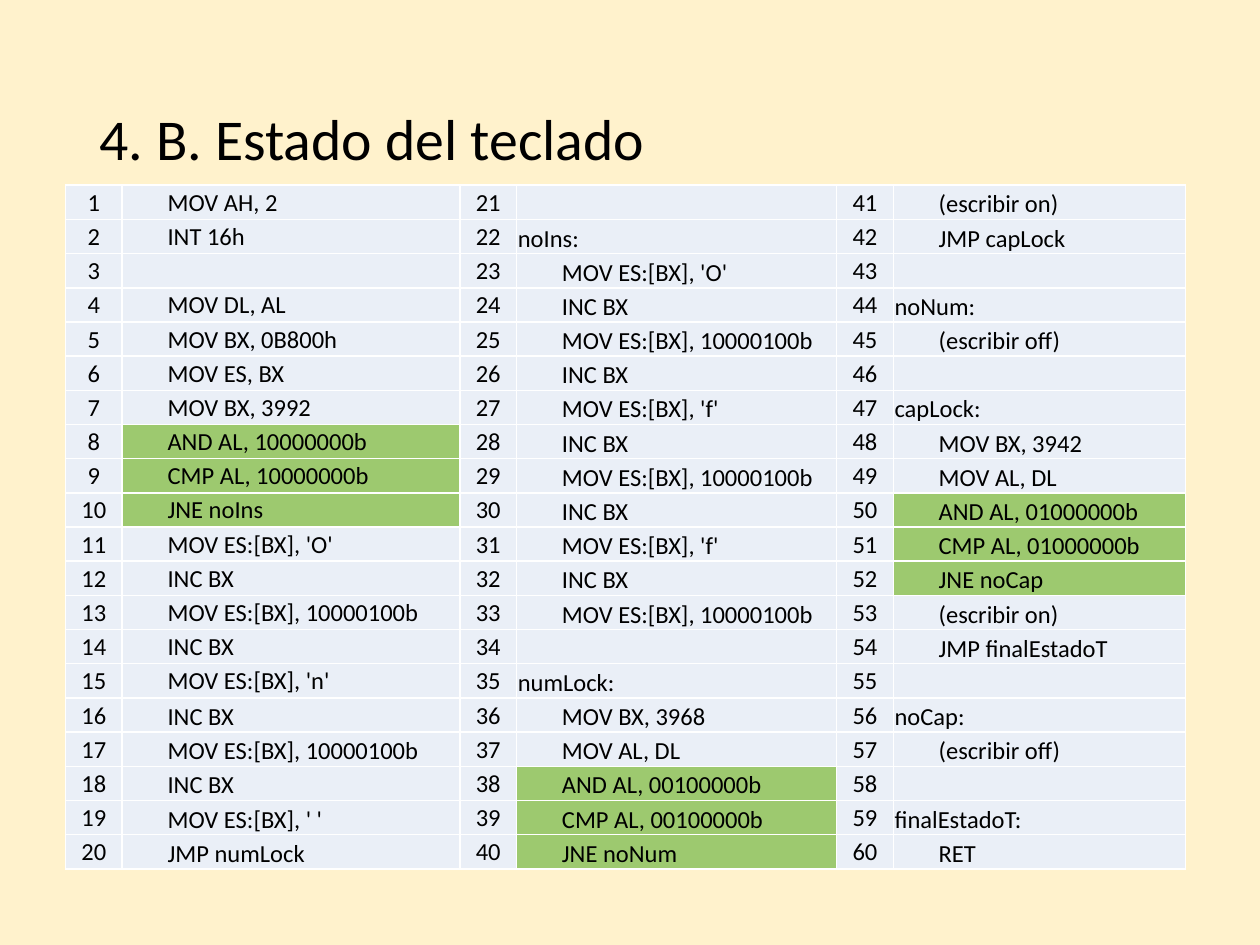
from lxml.etree import SubElement
from pptx import Presentation
from pptx.dml.color import RGBColor
from pptx.enum.text import MSO_ANCHOR, PP_ALIGN
from pptx.oxml.ns import qn
from pptx.util import Inches, Pt

ROWS = 20
INSERT_CODE = """\
    MOV AH, 2
    INT 16h

    MOV DL, AL
    MOV BX, 0B800h
    MOV ES, BX
    MOV BX, 3992
    AND AL, 10000000b
    CMP AL, 10000000b
    JNE noIns
    MOV ES:[BX], 'O'
    INC BX
    MOV ES:[BX], 10000100b
    INC BX
    MOV ES:[BX], 'n'
    INC BX
    MOV ES:[BX], 10000100b
    INC BX
    MOV ES:[BX], ' '
    JMP numLock"""
NUM_CODE = """\

noIns:
    MOV ES:[BX], 'O'
    INC BX
    MOV ES:[BX], 10000100b
    INC BX
    MOV ES:[BX], 'f'
    INC BX
    MOV ES:[BX], 10000100b
    INC BX
    MOV ES:[BX], 'f'
    INC BX
    MOV ES:[BX], 10000100b

numLock:
    MOV BX, 3968
    MOV AL, DL
    AND AL, 00100000b
    CMP AL, 00100000b
    JNE noNum"""
CAPS_CODE = """\
    (escribir on)
    JMP capLock

noNum:
    (escribir off)

capLock:
    MOV BX, 3942
    MOV AL, DL
    AND AL, 01000000b
    CMP AL, 01000000b
    JNE noCap
    (escribir on)
    JMP finalEstadoT

noCap:
    (escribir off)

finalEstadoT:
    RET"""


def set_font(p, size):
    p.font.name = "Calibri"
    p.font.size = Pt(size)
    p.font.color.rgb = RGBColor.from_string("000000")


def fill_cell(cell, text, color, anchor):
    cell.margin_left = cell.margin_right = cell.margin_top = Inches(0.01)
    cell.margin_bottom = 0
    cell.vertical_anchor = anchor
    # White borders come before the fill in the cell properties
    tcPr = cell._tc.get_or_add_tcPr()
    for side in ("a:lnL", "a:lnR", "a:lnT", "a:lnB"):
        ln = SubElement(tcPr, qn(side), w=str(Pt(1)))
        SubElement(SubElement(ln, qn("a:solidFill")), qn("a:srgbClr"), val="FFFFFF")
    cell.fill.solid()
    cell.fill.fore_color.rgb = RGBColor.from_string(color)
    p = cell.text_frame.paragraphs[0]
    set_font(p, 14)
    if text:
        p.add_run().text = text
    else:
        # Keeps an empty cell as low as the others
        SubElement(p._p, qn("a:endParaRPr"), sz="1400")
    return p


prs = Presentation()
prs.slide_width, prs.slide_height = Inches(10), Inches(7.5)
s = prs.slides.add_slide(prs.slide_layouts[6])
s.background.fill.solid()
s.background.fill.fore_color.rgb = RGBColor.from_string("FFF2CC")

# Title
tf = s.shapes.add_textbox(Inches(0.69), Inches(0.4), Inches(8.62), Inches(1.45)).text_frame
tf.word_wrap = True
tf.vertical_anchor = MSO_ANCHOR.MIDDLE
p = tf.paragraphs[0]
p.text = "4. B. Estado del teclado"
p.line_spacing = 0.9
set_font(p, 33)

# Listing table: three pairs of line number and code
table = s.shapes.add_table(ROWS, 6, Inches(0.52), Inches(1.47), Inches(8.89), Inches(5.43)).table
table.first_row = table.horz_banding = False
for col, width in zip(table.columns, (0.45, 2.68, 0.45, 2.54, 0.45, 2.32)):
    col.width = Inches(width)

for pair, code in enumerate((INSERT_CODE, NUM_CODE, CAPS_CODE)):
    for row, line in enumerate(code.split("\n")):
        number = pair * ROWS + row + 1
        p = fill_cell(table.cell(row, 2 * pair), str(number), "EAEFF7", MSO_ANCHOR.MIDDLE)
        p.alignment = PP_ALIGN.CENTER

        # Flag tests are highlighted, instructions are indented under labels
        text = line.strip()
        color = "9DC96F" if text.startswith(("AND", "CMP", "JNE")) else "EAEFF7"
        anchor = MSO_ANCHOR.MIDDLE if number <= 15 else MSO_ANCHOR.BOTTOM
        p = fill_cell(table.cell(row, 2 * pair + 1), text, color, anchor)
        if line.startswith(" "):
            p._p.get_or_add_pPr().set("marL", str(Inches(0.35)))

prs.save("out.pptx")
